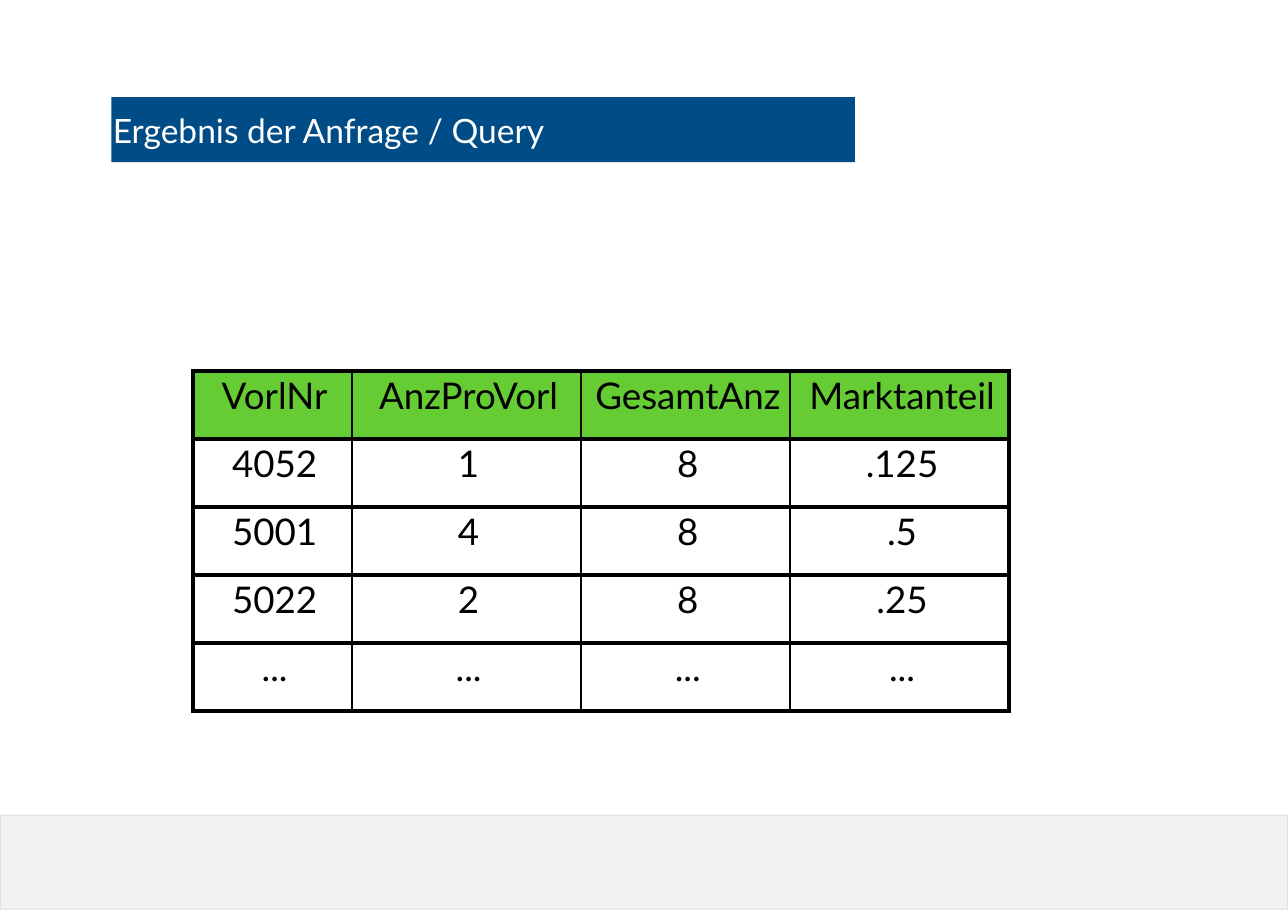
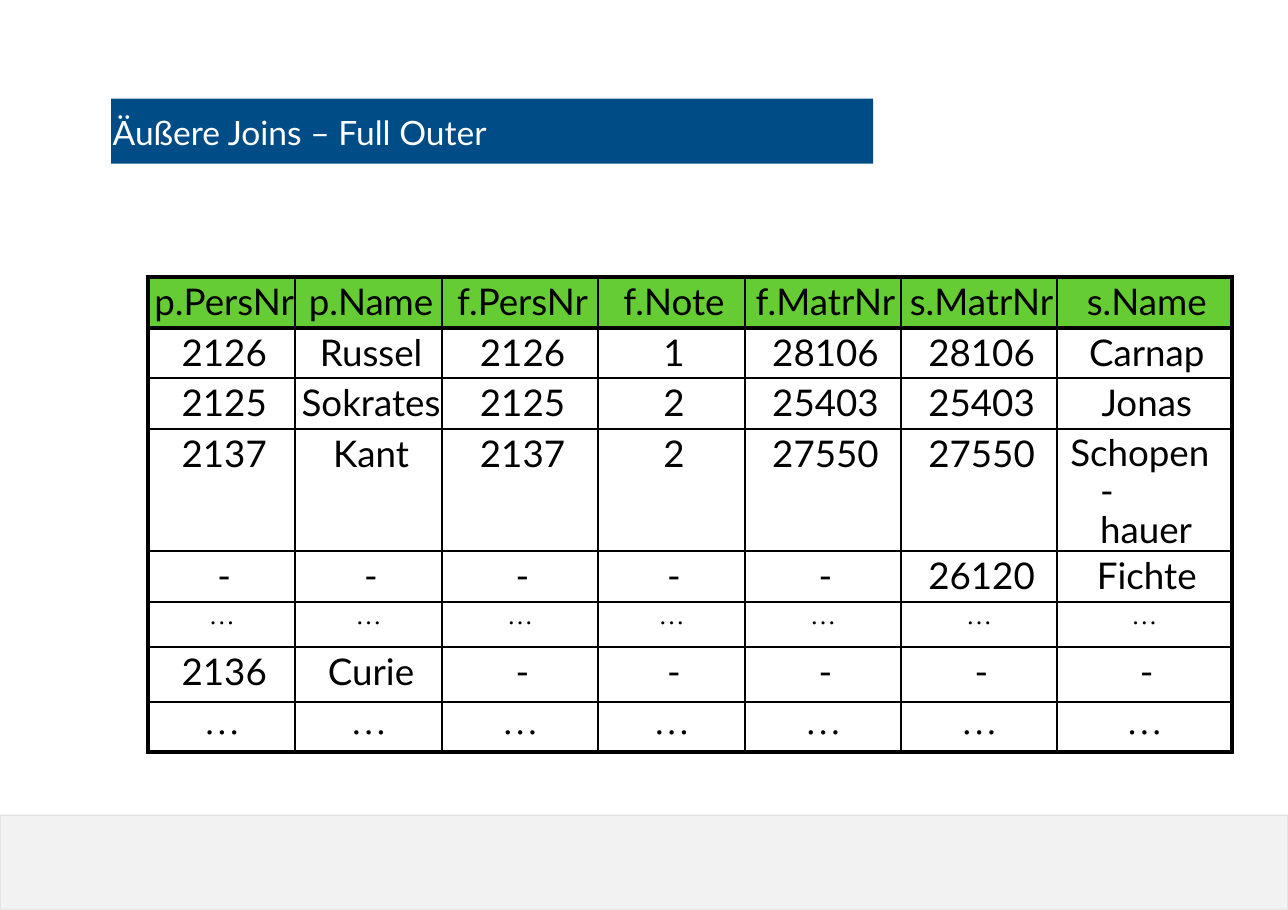
from lxml import etree
from pptx import Presentation
from pptx.dml.color import RGBColor
from pptx.enum.shapes import MSO_SHAPE as SHAPE
from pptx.enum.text import MSO_ANCHOR as ANCHOR, PP_ALIGN as ALIGN
from pptx.oxml.ns import qn
from pptx.util import Pt

BLUE = RGBColor(0x00, 0x4C, 0x87)
GREEN = RGBColor(0x66, 0xCC, 0x33)
GRAY = RGBColor(0xF2, 0xF2, 0xF2)
SLATE = RGBColor(0x88, 0x91, 0x94)
BLACK = RGBColor(0, 0, 0)
WHITE = RGBColor(255, 255, 255)
FONT = "Lato"
DOTS_FONT = "Times New Roman"
DOTS = "…"
SPLIT_NAME = "Schopen\v-\vhauer"
THICK, THIN = 3, 1.5
WIDTH, HEIGHT = 841.7, 594.7

SLIDES = [
    {
        "title": "Ergebnis der Anfrage / Query",
        "title_box": (72.7, 63.4, 486, 42.5),
        "origin": (126, 242.5),
        "cols": [104, 149.5, 137, 143],
        "heights": [44.5] * 5,
        "rule": THICK,
        "rows": [
            ["VorlNr", "AnzProVorl", "GesamtAnz", "Marktanteil"],
            ["4052", "1", "8", ".125"],
            ["5001", "4", "8", ".5"],
            ["5022", "2", "8", ".25"],
            ["..."] * 4,
        ],
        "small_row": None,
    },
    {
        "title": "Äußere Joins – Full Outer",
        "title_box": (72.7, 64.4, 498, 42.5),
        "origin": (97, 181.2),
        "cols": [96, 96, 102, 96, 102, 102, 114],
        "heights": [33, 33, 33, 80, 33, 29.5, 36, 33],
        "rule": THIN,
        "rows": [
            ["p.PersNr", "p.Name", "f.PersNr", "f.Note", "f.MatrNr", "s.MatrNr", "s.Name"],
            ["2126", "Russel", "2126", "1", "28106", "28106", "Carnap"],
            ["2125", "Sokrates", "2125", "2", "25403", "25403", "Jonas"],
            ["2137", "Kant", "2137", "2", "27550", "27550", SPLIT_NAME],
            ["-", "-", "-", "-", "-", "26120", "Fichte"],
            [DOTS] * 7,
            ["2136", "Curie", "-", "-", "-", "-", "-"],
            [DOTS] * 7,
        ],
        "small_row": 5,
    },
]


def set_margins(target, top):
    target.margin_left = target.margin_right = target.margin_bottom = 0
    target.margin_top = Pt(top)


def style_runs(p, size, color, font=FONT):
    for r in p.runs:
        r.font.size = Pt(size)
        r.font.name = font
        r.font.bold = False
        r.font.color.rgb = color


def indent(p, left, first=0):
    pPr = p._p.get_or_add_pPr()
    pPr.set("marL", str(Pt(left)))
    pPr.set("indent", str(Pt(first)))


def add_box(slide, left, top, width, height, color):
    s = slide.shapes.add_shape(SHAPE.RECTANGLE, Pt(left), Pt(top), Pt(width), Pt(height))
    s.shadow.inherit = False
    s.fill.solid()
    s.fill.fore_color.rgb = color
    s.line.fill.background()
    return s


def add_footer(slide):
    s = add_box(slide, 0, 532.8, WIDTH, 61.5, GRAY)
    s.line.color.rgb = SLATE
    s.line.width = Pt(1)
    clr = s.line._ln.find(".//" + qn("a:srgbClr"))
    etree.SubElement(clr, qn("a:alpha"), val="15000")


def add_title(slide, text, box):
    tf = add_box(slide, *box, BLUE).text_frame
    tf.text = text
    tf.word_wrap = True
    tf.vertical_anchor = ANCHOR.MIDDLE
    set_margins(tf, 1)
    p = tf.paragraphs[0]
    p.alignment = ALIGN.LEFT
    indent(p, 1)
    style_runs(p, 21.9, WHITE)


def set_borders(cell, widths):
    tcPr = cell._tc.get_or_add_tcPr()
    for side, width in zip("LRTB", widths):
        ln = etree.SubElement(tcPr, qn("a:ln" + side), w=str(Pt(width)))
        fill = etree.SubElement(ln, qn("a:solidFill"))
        etree.SubElement(fill, qn("a:srgbClr"), val=str(BLACK))


def set_cell_text(cell, text, small):
    tf = cell.text_frame
    tf.text = text
    p = tf.paragraphs[0]
    if text == SPLIT_NAME:
        set_margins(cell, 5)
        p.alignment = ALIGN.LEFT
        p.line_spacing = Pt(25)
        indent(p, 28, -19.5)
    else:
        set_margins(cell, 0 if text == DOTS else 1.5)
        p.alignment = ALIGN.CENTER
        indent(p, 0 if text == DOTS else 3)
    style_runs(p, 17 if small else 24, BLACK, DOTS_FONT if text == DOTS else FONT)


def add_grid(slide, data):
    rows, cols, heights = data["rows"], data["cols"], data["heights"]
    left, top = data["origin"]
    table = slide.shapes.add_table(
        len(rows), len(cols), Pt(left), Pt(top), Pt(sum(cols)), Pt(sum(heights))
    ).table
    table.horz_banding = False
    for column, width in zip(table.columns, cols):
        column.width = Pt(width)
    for row, height in zip(table.rows, heights):
        row.height = Pt(height)
    verticals = [THICK] + [THIN] * (len(cols) - 1) + [THICK]
    horizontals = [THICK, THICK] + [data["rule"]] * (len(rows) - 2) + [THICK]
    for i, row in enumerate(rows):
        for j, text in enumerate(row):
            cell = table.cell(i, j)
            set_cell_text(cell, text, i == data["small_row"])
            set_borders(cell, verticals[j:j + 2] + horizontals[i:i + 2])
            if i == 0:
                cell.fill.solid()
                cell.fill.fore_color.rgb = GREEN
            else:
                cell.fill.background()


def main():
    prs = Presentation()
    prs.slide_width, prs.slide_height = Pt(WIDTH), Pt(HEIGHT)
    for data in SLIDES:
        slide = prs.slides.add_slide(prs.slide_layouts[6])
        add_footer(slide)
        add_title(slide, data["title"], data["title_box"])
        add_grid(slide, data)
    prs.save("out.pptx")


if __name__ == "__main__":
    main()
